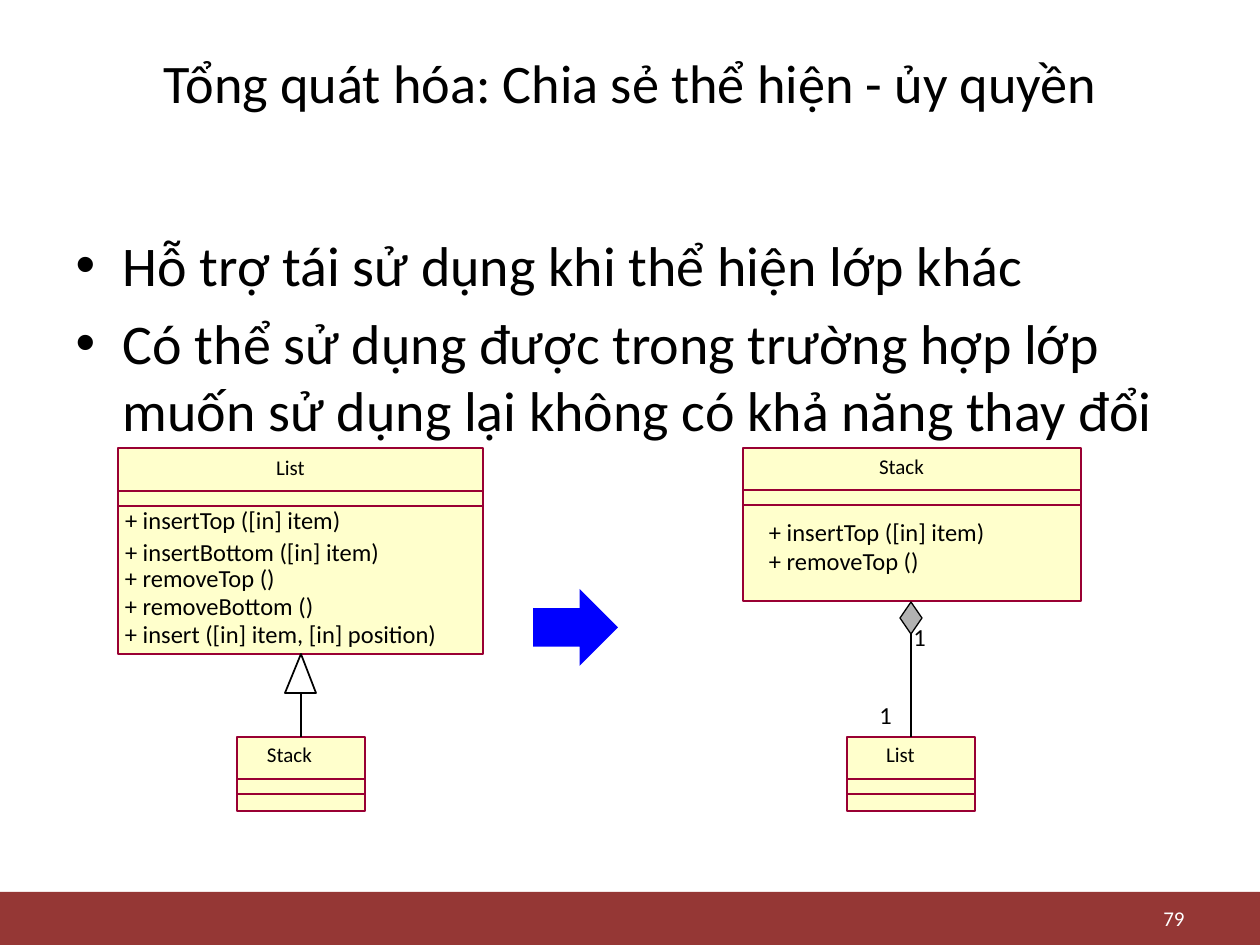
from pptx import Presentation
from pptx.dml.color import RGBColor
from pptx.enum.shapes import MSO_CONNECTOR, MSO_SHAPE
from pptx.enum.text import MSO_ANCHOR, MSO_AUTO_SIZE, PP_ALIGN
from pptx.oxml.ns import qn
from pptx.util import Pt
from lxml.etree import SubElement

# Content; all lengths in px
TITLE = "Tổng quát hóa: Chia sẻ thể hiện - ủy quyền"
POINTS = [
    "Hỗ trợ tái sử dụng khi thể hiện lớp khác",
    "Có thể sử dụng được trong trường hợp lớp muốn sử dụng lại không có khả năng thay đổi",
]
# name, box, name position and width, divider offsets, operations (x, y, width, text)
CLASSES = {
    "base list": ("List", (118, 448, 365, 206), (276, 455, 29), (43, 58), [
        (125, 505, 218, "+ insertTop ([in] item)"),
        (125, 537, 257, "+ insertBottom ([in] item)"),
        (125, 563, 151, "+ removeTop ()"),
        (125, 591, 190, "+ removeBottom ()"),
        (125, 619, 314, "+ insert ([in] item, [in] position)"),
    ]),
    "derived stack": ("Stack", (237, 737, 128, 74), (267, 742, 45), (42, 57), []),
    "part list": ("List", (847, 737, 128, 74), (886, 742, 29), (42, 57), []),
    "whole stack": ("Stack", (743, 448, 338, 153), (879, 454, 45), (42, 57), [
        (769, 517, 218, "+ insertTop ([in] item)"),
        (769, 546, 151, "+ removeTop ()"),
    ]),
}
MULTIPLICITIES = [(901, 616, "1"), (867, 694, "1")]
TRIANGLE = [(301, 654), (316, 693), (285, 693)]
PAGE = "79"
BLACK, WHITE, MAROON, CREAM = "000000", "FFFFFF", "990033", "FFFFCC"
FONT = "Calibri"
EMU_PER_PX = 914400 / 126


def px(*lengths):
    return [round(length * EMU_PER_PX) for length in lengths]


def rgb(value):
    return RGBColor.from_string(value)


def add_text(paragraph, text, size, color=BLACK):
    run = paragraph.add_run()
    run.text = text
    run.font.name, run.font.size = FONT, Pt(size)
    run.font.color.rgb = rgb(color)


def paint(shape, fill=None, line=None, width=1):
    shape.shadow.inherit = False
    if fill:
        shape.fill.solid()
        shape.fill.fore_color.rgb = rgb(fill)
    else:
        shape.fill.background()
    if line:
        shape.line.color.rgb = rgb(line)
        shape.line.width = Pt(width)
    else:
        shape.line.fill.background()


def add_part(kind, box, fill, line=None, width=1):
    part = slide.shapes.add_shape(kind, *px(*box))
    paint(part, fill, line, width)
    return part


def add_line(start, end, color):
    line = slide.shapes.add_connector(MSO_CONNECTOR.STRAIGHT, *px(*start, *end))
    line.line.color.rgb = rgb(color)
    line.line.width = Pt(1)
    SubElement(line._element.spPr, qn("a:effectLst"))
    return line


def add_label(box, text, size, tight=True, color=BLACK):
    frame = slide.shapes.add_textbox(*px(*box)).text_frame
    frame.word_wrap = not tight
    if tight:
        frame.margin_left = frame.margin_right = 0
        frame.margin_top = frame.margin_bottom = 0
        frame.auto_size = MSO_AUTO_SIZE.SHAPE_TO_FIT_TEXT
    add_text(frame.paragraphs[0], text, size, color)
    return frame


def add_class(name, box, name_at, dividers, operations):
    left, top, width, _ = box
    frame = add_part(MSO_SHAPE.RECTANGLE, box, CREAM, MAROON)
    for offset in dividers:
        add_line((left, top + offset), (left + width, top + offset), MAROON)
    add_label((*name_at, 25), name, 12)
    for x, y, text_width, operation in operations:
        add_label((x, y, text_width, 30), operation, 14)
    return frame


prs = Presentation()
prs.slide_width, prs.slide_height = px(1260, 945)
slide = prs.slides.add_slide(prs.slide_layouts[1])

# Title and bullet list
title, body = slide.placeholders
title.left, title.top, title.width, title.height = px(63, 38, 1134, 88)
title.text_frame.vertical_anchor = MSO_ANCHOR.MIDDLE
title.text_frame.auto_size = MSO_AUTO_SIZE.NONE
title.text_frame.paragraphs[0].alignment = PP_ALIGN.CENTER
add_text(title.text_frame.paragraphs[0], TITLE, 31)

body.left, body.top, body.width, body.height = px(63, 224, 1134, 620)
points = body.text_frame
points.auto_size = MSO_AUTO_SIZE.NONE
for index, point in enumerate(POINTS):
    paragraph = points.add_paragraph() if index else points.paragraphs[0]
    paragraph.space_before = Pt(6.4 if index else 0)
    add_text(paragraph, point, 32)

# Footer band with page number
add_part(MSO_SHAPE.RECTANGLE, (0, 892, 1260, 53), "953735")
page = add_label((903, 901, 294, 34), PAGE, 12, tight=False, color=WHITE)
page.vertical_anchor = MSO_ANCHOR.MIDDLE
page.paragraphs[0].alignment = PP_ALIGN.RIGHT

# Class boxes
boxes = {role: add_class(*parts) for role, parts in CLASSES.items()}

# Inheritance: hollow triangle below the base class
outline = slide.shapes.build_freeform(*TRIANGLE[0], scale=EMU_PER_PX)
outline.add_line_segments(TRIANGLE[1:], close=True)
paint(outline.convert_to_shape(), line=BLACK)
inheritance = add_line((301, 737), (301, 693), BLACK)
inheritance.begin_connect(boxes["derived stack"], 0)

# Transformation arrow
arrow = add_part(MSO_SHAPE.RIGHT_ARROW, (533, 589, 85, 77), "0000FF")
arrow.adjustments[0], arrow.adjustments[1] = 0.5, 0.5

# Aggregation: diamond below the whole, line to the part
diamond = add_part(MSO_SHAPE.DIAMOND, (900, 602, 22, 32), "B2B2B2", BLACK, 0.75)
aggregation = add_line((911, 737), (911, 634), BLACK)
aggregation.begin_connect(boxes["part list"], 0)
aggregation.end_connect(diamond, 2)
for x, y, count in MULTIPLICITIES:
    add_label((x, y, 64, 43), count, 14, tight=False)

prs.save("out.pptx")
